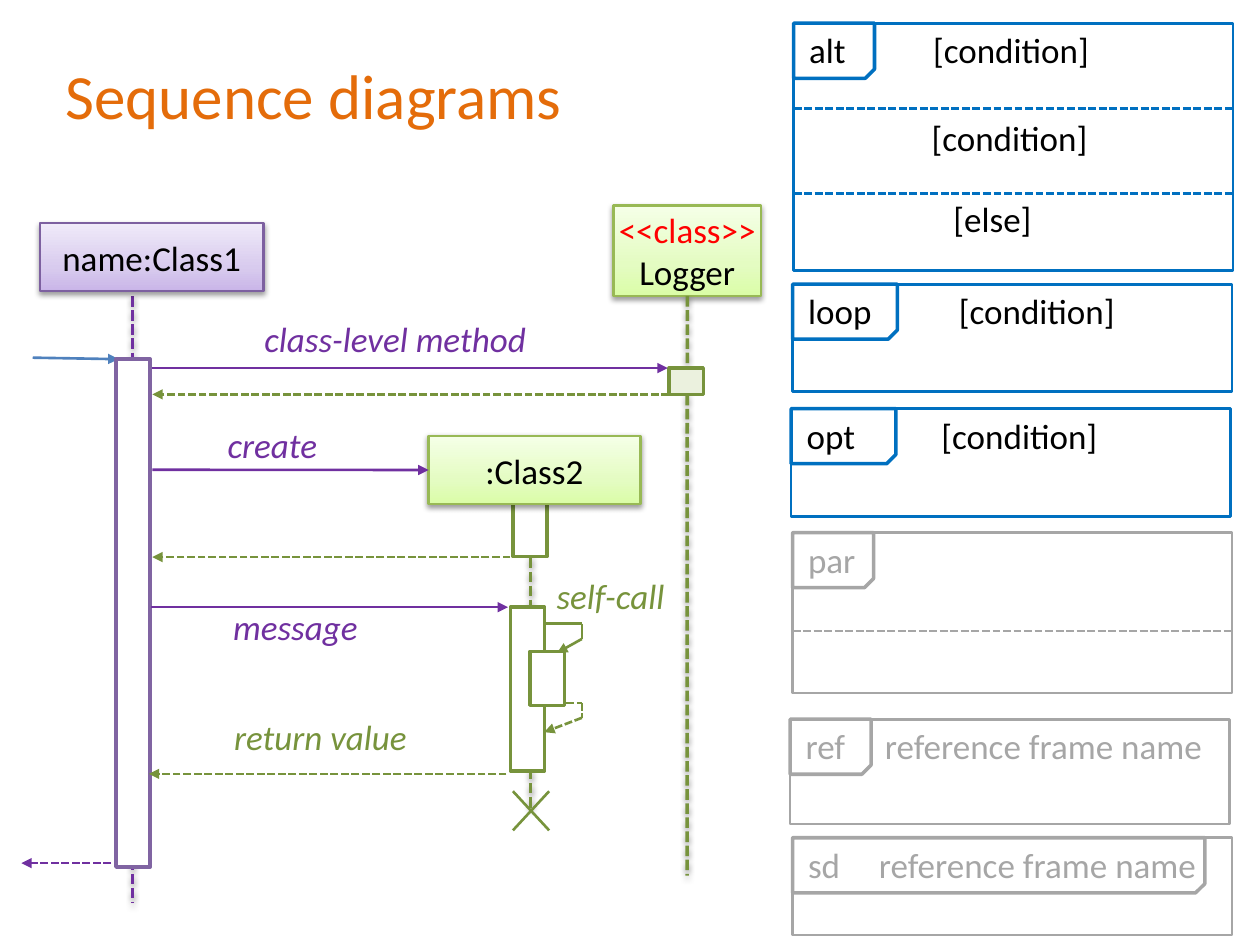
from copy import deepcopy

from lxml.etree import SubElement
from pptx import Presentation
from pptx.dml.color import RGBColor
from pptx.enum.dml import MSO_LINE
from pptx.enum.shapes import MSO_CONNECTOR, MSO_SHAPE
from pptx.enum.text import MSO_ANCHOR, PP_ALIGN
from pptx.oxml.ns import qn
from pptx.util import Cm, Pt

COLORS = {
    "title": "E46C0A", "text": "000000", "white": "FFFFFF", "stereotype": "FF0000",
    "purple": "7030A0", "green": "77933C", "entry": "4F81BD",
    "purple_bar": "8064A2", "class_bar": "EBF1DE",
    "purple_edge": "7D60A0", "green_edge": "98B955",
    "frame": "0070C0", "muted": "A6A6A6",
}
PURPLE_FADE = ("C9B5E8", "D8CBEE", "F0EAF9")
GREEN_FADE = ("DAFDA7", "E4FCC2", "F5FFE7")
FADE_STOPS = (0, 0.35, 1)
FRAME_WIDTH = 8.86
TAB_HEIGHT = 1.11
BAR_WIDTH = 0.69


def rgb(color):
    return RGBColor.from_string(COLORS[color])


def cast_shadow(effects):
    shadow = SubElement(effects, qn("a:outerShdw"), blurRad="40000", dist="20000",
                        dir="5400000", rotWithShape="0")
    black = SubElement(shadow, qn("a:srgbClr"), val="000000")
    SubElement(black, qn("a:alpha"), val="38000")


def style_run(run, color, size=20, italic=False):
    run.font.name = "Calibri"
    run.font.size = Pt(size)
    run.font.italic = italic
    run.font.color.rgb = rgb(color)


def add_text(slide, words, left, top, width, height=1.07, color="text", size=20,
             italic=False, anchor=MSO_ANCHOR.MIDDLE):
    box = slide.shapes.add_textbox(Cm(left), Cm(top), Cm(width), Cm(height))
    frame = box.text_frame
    frame.word_wrap = True
    frame.vertical_anchor = anchor
    frame.text = words
    style_run(frame.paragraphs[0].runs[0], color, size, italic)
    return frame.paragraphs[0]


def add_label(slide, words, left, top, width, color):
    add_text(slide, words, left, top, width, 1.12, color, italic=True,
             anchor=MSO_ANCHOR.TOP)


def add_box(slide, left, top, width, height, edge, weight, fill="white",
            preset=MSO_SHAPE.RECTANGLE):
    box = slide.shapes.add_shape(preset, Cm(left), Cm(top), Cm(width), Cm(height))
    box.shadow.inherit = False
    box.fill.solid()
    box.fill.fore_color.rgb = rgb(fill)
    box.line.color.rgb = rgb(edge)
    box.line.width = Pt(weight)
    return box


def add_participant(slide, words, left, top, width, height, edge, fade, colors=("text",)):
    """Draw the shaded head of a lifeline, with one text colour for each line."""
    head = add_box(slide, left, top, width, height, edge, 1.5)
    head.fill.gradient()
    head.fill.gradient_angle = 90
    stop_list = head._element.spPr.find(".//" + qn("a:gsLst"))
    stop_list.insert(1, deepcopy(stop_list[0]))
    for stop, position, shade in zip(head.fill.gradient_stops, FADE_STOPS, fade):
        stop.position = position
        stop.color.rgb = RGBColor.from_string(shade)
    cast_shadow(head._element.spPr.find(qn("a:effectLst")))

    frame = head.text_frame
    frame.margin_left = frame.margin_right = frame.margin_top = frame.margin_bottom = 0
    frame.vertical_anchor = MSO_ANCHOR.MIDDLE
    frame.text = words
    paragraph = frame.paragraphs[0]
    paragraph.alignment = PP_ALIGN.CENTER
    for run, color in zip(paragraph.runs, colors):
        style_run(run, color)
    return head


def add_line(slide, start, end, color, weight=1.5, dashed=False, arrow=False, shadow=False):
    line = slide.shapes.add_connector(
        MSO_CONNECTOR.STRAIGHT, *(Cm(value) for value in (*start, *end)))
    line.line.color.rgb = rgb(color)
    line.line.width = Pt(weight)
    if dashed:
        line.line.dash_style = MSO_LINE.SQUARE_DOT
    properties = line._element.spPr
    if arrow:
        SubElement(properties.find(qn("a:ln")), qn("a:tailEnd"), type="triangle")
    effects = SubElement(properties, qn("a:effectLst"))
    if shadow:
        cast_shadow(effects)
    return line


def add_lifeline(slide, x, top, bottom, color):
    return add_line(slide, (x, top), (x, bottom), color, 2, dashed=True, shadow=True)


def add_message(slide, start, end, y, color, dashed=False):
    return add_line(slide, (start, y), (end, y), color, dashed=dashed, arrow=True)


def add_loop_back(slide, points, dashed=False):
    """Chain lines through the points, with an arrowhead on the last."""
    for start, end in zip(points, points[1:]):
        add_line(slide, start, end, "green", dashed=dashed, arrow=end == points[-1])


def add_frame(slide, operator, left, top, height, tab_width, edge, color,
              guard="", guard_indent=0, dividers=()):
    add_box(slide, left, top, FRAME_WIDTH, height, edge, 1.5)
    tab = add_box(slide, left, top, tab_width, TAB_HEIGHT, edge, 2,
                  preset=MSO_SHAPE.SNIP_1_RECTANGLE)
    tab._element.spPr.find(qn("a:xfrm")).set("flipV", "1")
    heading = add_text(slide, f"{operator}\t{guard}" if guard else operator,
                       left + 0.06, top, FRAME_WIDTH, color=color)
    if guard:
        stops = SubElement(heading._p.get_or_add_pPr(), qn("a:tabLst"))
        SubElement(stops, qn("a:tab"), pos=str(Cm(guard_indent)), algn="l")
    for offset in dividers:
        y = top + offset
        add_line(slide, (left, y), (left + FRAME_WIDTH, y), edge, dashed=True)


def add_interaction(slide):
    add_loop_back(slide, [(10.57, 14.17), (11.73, 14.17), (11.73, 14.47), (10.97, 14.76)],
                  dashed=True)
    add_lifeline(slide, 2.67, 5.97, 18.21, "purple")
    add_participant(slide, "name:Class1", 0.81, 4.5, 4.5, 1.37, "purple_edge", PURPLE_FADE)
    add_line(slide, (0.66, 7.21), (2.39, 7.24), "entry", arrow=True)
    add_message(slide, 2.24, 0.43, 17.4, "purple", dashed=True)
    add_box(slide, 2.34, 7.24, BAR_WIDTH, 10.24, "purple_bar", 2)

    add_lifeline(slide, 10.7, 10.67, 16.31, "green")
    add_box(slide, 10.34, 10.13, BAR_WIDTH, 1.09, "green", 2)
    add_box(slide, 10.29, 12.24, BAR_WIDTH, 3.3, "green", 2)
    class2 = add_participant(slide, ":Class2", 8.64, 8.79, 4.27, 1.37,
                             "green_edge", GREEN_FADE)
    add_box(slide, 10.69, 13.13, BAR_WIDTH, 1.09, "green", 2)
    add_loop_back(slide, [(10.97, 12.57), (11.73, 12.57), (11.73, 12.88), (11.23, 13.16)])
    for start_y, end_y in ((15.95, 16.74), (16.74, 15.95)):
        add_line(slide, (10.34, start_y), (11.07, end_y), "green")

    logger = add_participant(slide, "<<class>>\vLogger", 12.37, 4.14, 2.97, 1.83,
                             "green_edge", GREEN_FADE, ("stereotype", "text"))
    add_lifeline(slide, 13.85, 5.97, 17.65, "green").begin_connect(logger, 2)
    add_box(slide, 13.49, 7.42, BAR_WIDTH, 0.53, "green", 2, "class_bar")

    add_message(slide, 3.07, 13.46, 7.42, "purple")
    add_message(slide, 13.49, 3.07, 7.95, "green", dashed=True)
    add_message(slide, 3.07, 8.64, 9.47, "purple").end_connect(class2, 1)
    add_message(slide, 10.29, 3.07, 11.23, "green", dashed=True)
    add_message(slide, 3.05, 10.24, 12.24, "purple")
    add_message(slide, 10.21, 3.0, 15.6, "green", dashed=True)

    add_label(slide, "class-level method", 5.08, 6.27, 5.94, "purple")
    add_label(slide, "create", 4.34, 8.41, 2.97, "purple")
    add_label(slide, "message", 4.45, 12.09, 3.53, "purple")
    add_label(slide, "return value", 4.47, 14.3, 5.38, "green")
    add_label(slide, "self-call", 10.97, 11.46, 3.33, "green")


def add_frames(slide):
    active, muted = ("frame", "text"), ("muted", "muted")
    add_frame(slide, "alt", 16, 0.47, 4.98, 1.63, *active, "[condition]", 2.5, (1.72, 3.43))
    add_text(slide, "[condition]", 18.53, 2.24, 4.85)
    add_text(slide, "[else]", 18.97, 3.86, 2.69)
    add_frame(slide, "loop", 15.98, 5.73, 2.16, 2.11, *active, "[condition]", 3.04)
    add_frame(slide, "opt", 15.95, 8.24, 2.18, 2.11, *active, "[condition]", 2.72)
    add_frame(slide, "par", 15.98, 10.74, 3.23, 1.63, *muted, dividers=(1.98,))
    add_frame(slide, "ref", 15.93, 14.5, 2.11, 1.63, *muted, "reference frame name", 1.6)
    add_frame(slide, "sd", 15.98, 16.89, 1.96, 8.31, *muted, "reference frame name", 1.43)


def main():
    presentation = Presentation()
    presentation.slide_width = Cm(25.4)
    presentation.slide_height = Cm(19.05)
    slide = presentation.slides.add_slide(presentation.slide_layouts[6])
    add_text(slide, "Sequence diagrams", 1.07, 0.79, 12.22, 2.21, "title", 36)
    add_interaction(slide)
    add_frames(slide)
    presentation.save("out.pptx")


if __name__ == "__main__":
    main()
